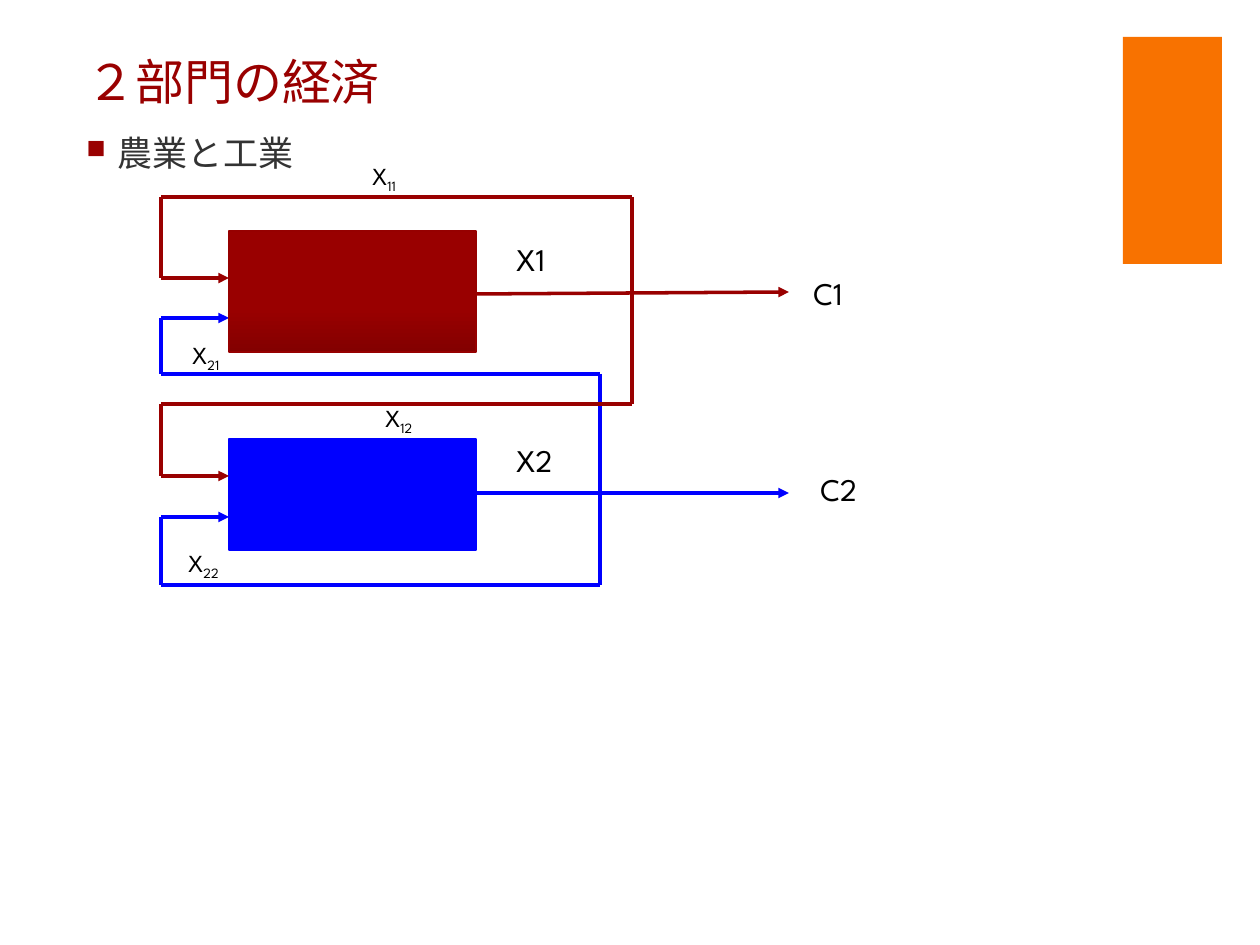
from dataclasses import dataclass

from lxml.etree import SubElement as sub_el
from pptx import Presentation as Deck
from pptx.dml.color import RGBColor as Rgb
from pptx.enum.shapes import MSO_CONNECTOR as Link, MSO_SHAPE as Form
from pptx.enum.text import MSO_ANCHOR as Anchor, MSO_AUTO_SIZE as Fit
from pptx.oxml.ns import qn
from pptx.util import Pt

SCALE = 914400 // 126  # EMU in one pixel


@dataclass(frozen=True)
class Theme:
    """Colours, font and type sizes."""
    font: str = "League Spartan"
    red: str = "990000"
    dark: str = "830000"
    edge: str = "960000"
    blue: str = "0000FF"
    accent: str = "F87200"
    body: str = "333333"
    ink: str = "000000"
    head_pt: int = 28
    body_pt: int = 20
    flow_pt: int = 18
    feed_pt: int = 14
    wire_pt: int = 2


@dataclass(frozen=True)
class Sector:
    """One sector: its box, outflow and the loop that feeds both boxes."""
    fill: str
    edge: str
    top: int
    height: int
    out: tuple[int, int]
    trunk: int
    feeds: tuple[tuple[int, int], ...]  # (bus y, entry y)
    shade: str = ""


@dataclass(frozen=True)
class Label:
    """A short text with an optional subscript."""
    text: str
    left: int
    top: int
    width: int
    sub: str = ""


THEME = Theme()
LEFT, BOX_L, BOX_R, END = 161, 229, 476, 789
SECTORS = (
    Sector(THEME.blue, THEME.blue, 439, 111, (493, 493), 600,
           ((374, 318), (585, 517))),
    Sector(THEME.red, THEME.edge, 231, 121, (294, 292), 632,
           ((197, 278), (404, 476)), THEME.dark),
)
LABELS = (
    Label("C1", 801, 268, 69), Label("C2", 808, 464, 69),
    Label("X2", 504, 435, 64), Label("X1", 504, 234, 64),
    Label("X", 360, 155, 59, "11"), Label("X", 373, 397, 59, "12"),
    Label("X", 180, 334, 59, "21"), Label("X", 176, 542, 59, "22"),
)


def px(*vals: int) -> list[int]:
    """Turn pixels into EMU."""
    return [val * SCALE for val in vals]


def add_run(para, text: str, size: int, hue: str, base: int = 0) -> None:
    """Add one styled run; base shifts it off the line, in percent."""
    run = para.add_run()
    run.text = text
    run.font.name, run.font.size = THEME.font, Pt(size)
    run.font.color.rgb = Rgb.from_string(hue)
    if base:
        run._r.get_or_add_rPr().set("baseline", str(base * 1000))


def add_text(slide, left: int, top: int, width: int, height: int,
             wrap: bool = True):
    """Add a text box and return its first paragraph."""
    frame = slide.shapes.add_textbox(*px(left, top, width, height)).text_frame
    frame.word_wrap = wrap
    frame.vertical_anchor = Anchor.TOP
    frame.auto_size = Fit.NONE if wrap else Fit.SHAPE_TO_FIT_TEXT
    return frame.paragraphs[0]


def add_mark(para, hue: str) -> None:
    """Give a paragraph a square bullet with a hanging indent."""
    props = para._p.get_or_add_pPr()
    props.set("marL", "228600")
    props.set("indent", "-228600")
    sub_el(sub_el(props, qn("a:buClr")), qn("a:srgbClr"), val=hue)
    sub_el(props, qn("a:buSzPct"), val="75000")
    sub_el(props, qn("a:buFont"), typeface="Wingdings")
    sub_el(props, qn("a:buChar"), char="n")


def add_box(slide, left: int, top: int, width: int, height: int,
            fill: str, edge: str = "", shade: str = ""):
    """Add a rectangle, shaded from the bottom when shade is set."""
    box = slide.shapes.add_shape(Form.RECTANGLE, *px(left, top, width, height))
    box.shadow.inherit = False
    if shade:
        box.fill.gradient()
        box.fill.gradient_angle = 90
        for stop, hue, pos in zip(box.fill.gradient_stops, (shade, fill), (0, 0.35)):
            stop.color.rgb, stop.position = Rgb.from_string(hue), pos
    else:
        box.fill.solid()
        box.fill.fore_color.rgb = Rgb.from_string(fill)
    if edge:
        box.line.color.rgb, box.line.width = Rgb.from_string(edge), Pt(1)
    else:
        box.line.fill.background()


def add_wire(slide, start: tuple[int, int], stop: tuple[int, int],
             hue: str, arrow: bool = False) -> None:
    """Add a straight line, with an arrowhead at its end if asked."""
    wire = slide.shapes.add_connector(Link.STRAIGHT, *px(*start, *stop))
    wire.line.color.rgb = Rgb.from_string(hue)
    wire.line.width = Pt(THEME.wire_pt)
    props = wire._element.spPr
    if arrow:
        sub_el(props.find(qn("a:ln")), qn("a:tailEnd"), type="triangle")
    sub_el(props, qn("a:effectLst"))


def add_sector(slide, sec: Sector) -> None:
    """Draw a sector box with its outflow and feed loops."""
    add_box(slide, BOX_L, sec.top, BOX_R - BOX_L, sec.height,
            sec.fill, sec.edge, sec.shade)
    add_wire(slide, (BOX_R, sec.out[0]), (END, sec.out[1]), sec.fill, True)
    first, last = (bus for bus, _ in sec.feeds)
    add_wire(slide, (sec.trunk, first), (sec.trunk, last), sec.fill)
    for bus, entry in sec.feeds:
        add_wire(slide, (sec.trunk, bus), (LEFT, bus), sec.fill)
        add_wire(slide, (LEFT, bus), (LEFT, entry), sec.fill)
        add_wire(slide, (LEFT, entry), (BOX_L, entry), sec.fill, True)


def add_label(slide, label: Label) -> None:
    """Draw a label; feeds carry a subscript and smaller type."""
    size, height = (THEME.feed_pt, 43) if label.sub else (THEME.flow_pt, 50)
    para = add_text(slide, label.left, label.top, label.width, height, False)
    add_run(para, label.text, size, THEME.ink)
    if label.sub:
        add_run(para, label.sub, size, THEME.ink, -25)


def main() -> None:
    """Build and save the slide."""
    deck = Deck()
    deck.slide_width, deck.slide_height = px(1260, 945)
    slide = deck.slides.add_slide(deck.slide_layouts[6])
    add_box(slide, 1123, 37, 99, 227, THEME.accent)
    add_run(add_text(slide, 74, 45, 897, 158), "２部門の経済",
            THEME.head_pt, THEME.red)
    point = add_text(slide, 74, 125, 1048, 78)
    add_mark(point, THEME.red)
    add_run(point, "農業と工業", THEME.body_pt, THEME.body)
    for sec in SECTORS:
        add_sector(slide, sec)
    for label in LABELS:
        add_label(slide, label)
    deck.save("out.pptx")


main()
